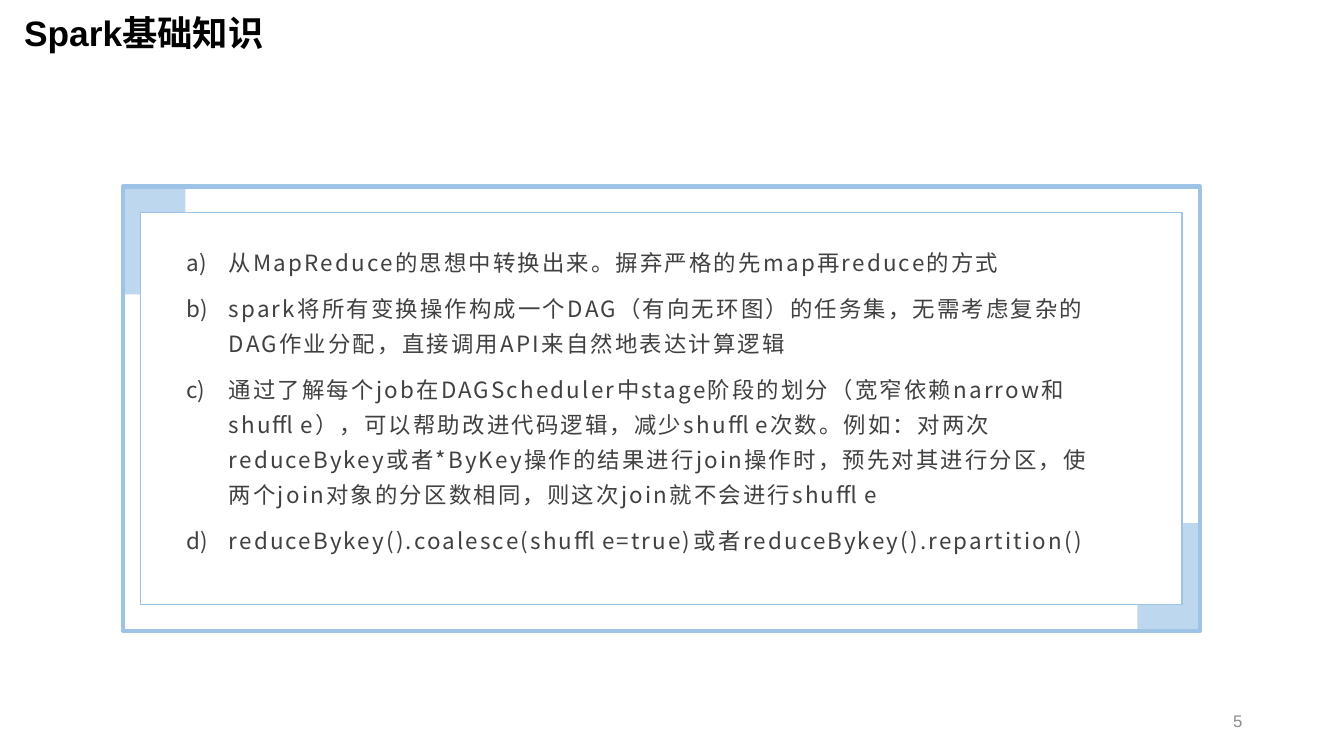
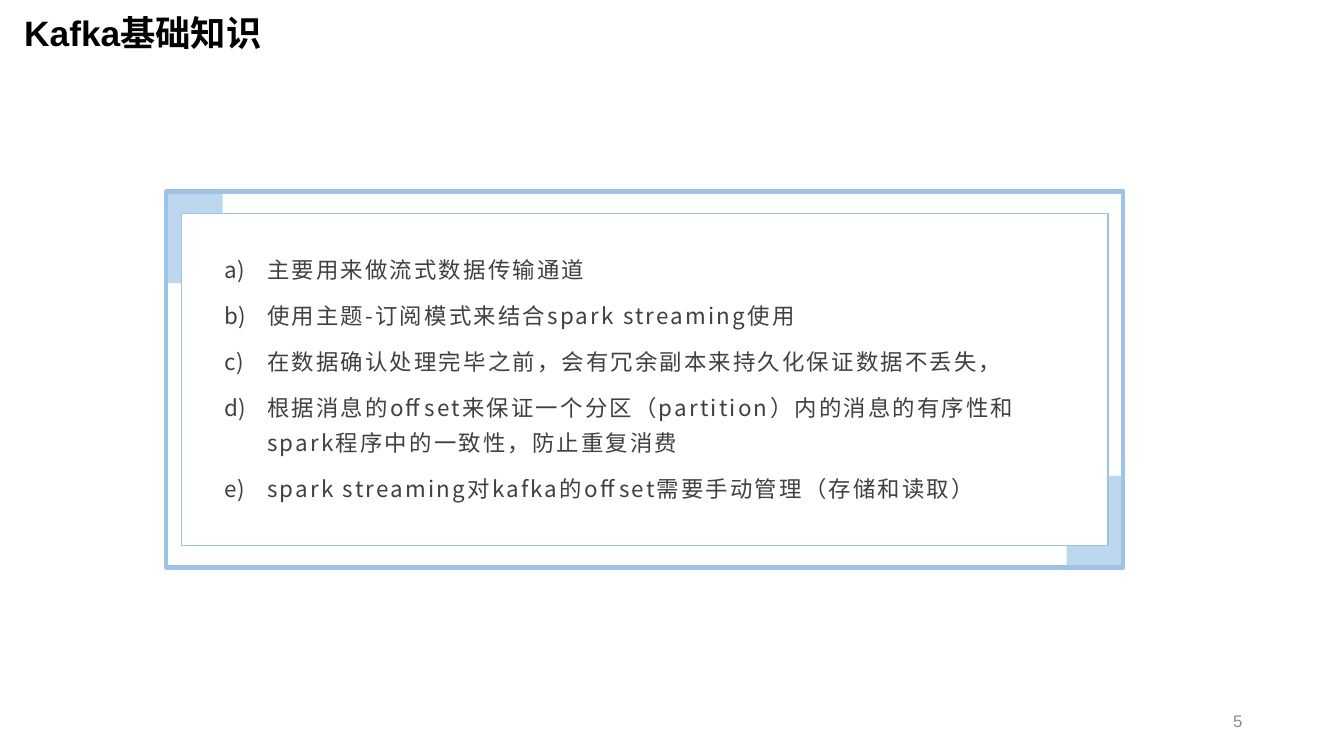
from lxml.etree import SubElement
from pptx import Presentation
from pptx.dml.color import RGBColor
from pptx.enum.shapes import MSO_SHAPE
from pptx.enum.text import MSO_ANCHOR, MSO_AUTO_SIZE, PP_ALIGN
from pptx.oxml.ns import qn
from pptx.util import Inches, Pt

TITLE_FONT = "Arial"
BODY_FONT = "Noto Sans CJK SC"
BLACK, DARK, GREY, WHITE = "000000", "404040", "8C8C8C", "FFFFFF"
PALE_BLUE, BLUE = "BDD7EE", "9DC3E6"

topics = [
    {
        "title": "Spark基础知识",
        "frame": (1.22, 1.85, 10.68, 4.41),
        "panel": (10.33, 3.89),
        "corner": (0.62, 1.07),
        "body": (1.77, 2.35, 9.34, 3.68),
        "points": [
            "从MapReduce的思想中转换出来。摒弃严格的先map再reduce的方式",
            "spark将所有变换操作构成一个DAG（有向无环图）的任务集，无需考虑复杂的DAG作业分配，直接调用API来自然地表达计算逻辑",
            "通过了解每个job在DAGScheduler中stage阶段的划分（宽窄依赖narrow和shuffle），可以帮助改进代码逻辑，减少shuffle次数。例如：对两次reduceBykey或者*ByKey操作的结果进行join操作时，预先对其进行分区，使两个join对象的分区数相同，则这次join就不会进行shuffle",
            "reduceBykey().coalesce(shuffle=true)或者reduceBykey().repartition()",
        ],
    },
    {
        "title": "Kafka基础知识",
        "frame": (1.65, 1.9, 9.49, 3.73),
        "panel": (9.19, 3.29),
        "corner": (0.56, 0.91),
        "body": (2.15, 2.42, 8.49, 2.63),
        "points": [
            "主要用来做流式数据传输通道",
            "使用主题-订阅模式来结合spark streaming使用",
            "在数据确认处理完毕之前，会有冗余副本来持久化保证数据不丢失，",
            "根据消息的offset来保证一个分区（partition）内的消息的有序性和spark程序中的一致性，防止重复消费",
            "spark streaming对kafka的offset需要手动管理（存储和读取）",
        ],
    },
]


def color(value):
    return RGBColor.from_string(value)


def add_run(paragraph, text, font_name, size, text_color, bold=False):
    run = paragraph.add_run()
    run.text = text
    run.font.name = font_name
    run.font.size = Pt(size)
    run.font.bold = bold
    run.font.color.rgb = color(text_color)
    properties = run.font._element
    SubElement(properties, qn("a:ea")).set("typeface", BODY_FONT)
    return properties


prs = Presentation()
prs.slide_width = Inches(13.33)
prs.slide_height = Inches(7.5)

for topic in topics:
    slide = prs.slides.add_slide(prs.slide_layouts[5])

    title = slide.shapes.title
    title.left, title.top = Inches(0.14), Inches(0.12)
    title.width, title.height = Inches(11.5), Inches(0.45)
    title.text_frame.auto_size = MSO_AUTO_SIZE.NONE
    title.text_frame.vertical_anchor = MSO_ANCHOR.MIDDLE
    heading = title.text_frame.paragraphs[0]
    heading.alignment = PP_ALIGN.LEFT
    heading.line_spacing = 0.9
    add_run(heading, topic["title"], TITLE_FONT, 25.2, BLACK, bold=True)

    page_number = slide.shapes.add_textbox(Inches(9.42), Inches(6.95), Inches(3), Inches(0.4))
    page_number.text_frame.word_wrap = True
    page_number.text_frame.vertical_anchor = MSO_ANCHOR.MIDDLE
    page_line = page_number.text_frame.paragraphs[0]
    page_line.alignment = PP_ALIGN.RIGHT
    add_run(page_line, "5", TITLE_FONT, 12, GREY)

    left, top, width, height = topic["frame"]
    panel_width, panel_height = topic["panel"]
    corner_width, corner_height = topic["corner"]
    panel_left = left + (width - panel_width) / 2
    panel_top = top + (height - panel_height) / 2
    corner_left = left + width - corner_width
    corner_top = top + height - corner_height
    card = slide.shapes.add_group_shape()
    for x, y, w, h, fill, line_width in [
        (left, top, corner_width, corner_height, PALE_BLUE, 0),
        (corner_left, corner_top, corner_width, corner_height, PALE_BLUE, 0),
        (left, top, width, height, None, 3),
        (panel_left, panel_top, panel_width, panel_height, WHITE, 1),
    ]:
        part = card.shapes.add_shape(MSO_SHAPE.RECTANGLE, Inches(x), Inches(y), Inches(w), Inches(h))
        part.shadow.inherit = False
        if fill:
            part.fill.solid()
            part.fill.fore_color.rgb = color(fill)
        else:
            part.fill.background()
        if line_width:
            part.line.color.rgb = color(BLUE)
            part.line.width = Pt(line_width)
        else:
            part.line.fill.background()

    body = slide.shapes.add_textbox(*map(Inches, topic["body"])).text_frame
    body.word_wrap = True
    body.auto_size = MSO_AUTO_SIZE.SHAPE_TO_FIT_TEXT
    body.margin_left = body.margin_right = Inches(0.08)
    body.margin_top = body.margin_bottom = Inches(0.04)
    for index, point in enumerate(topic["points"]):
        paragraph = body.add_paragraph() if index else body.paragraphs[0]
        layout = paragraph._p.get_or_add_pPr()
        layout.set("marL", str(Inches(0.42)))
        layout.set("indent", str(-Inches(0.42)))
        SubElement(layout, qn("a:buAutoNum")).set("type", "alphaLcParenR")
        paragraph.line_spacing = 1.3
        paragraph.space_before = Pt(8 if index else 0)
        add_run(paragraph, point, BODY_FONT, 16, DARK).set("spc", "160")

prs.save("out.pptx")
